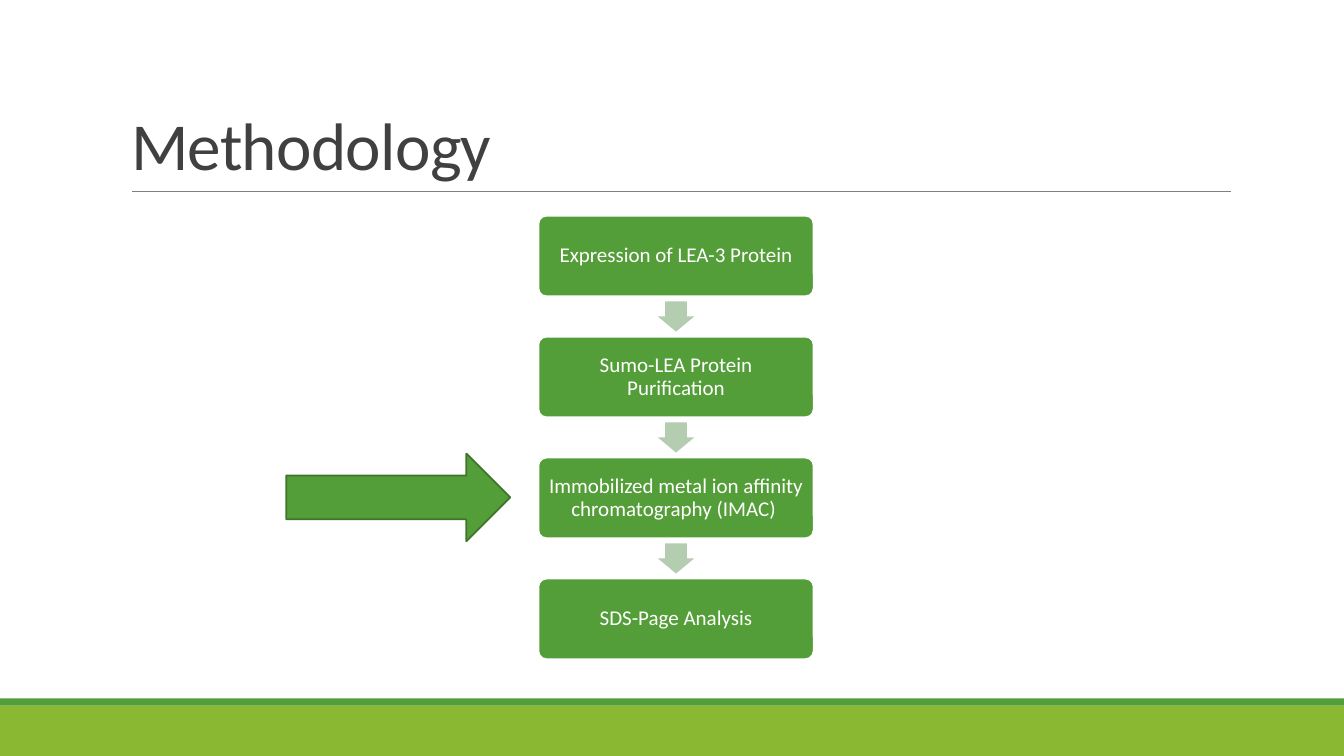
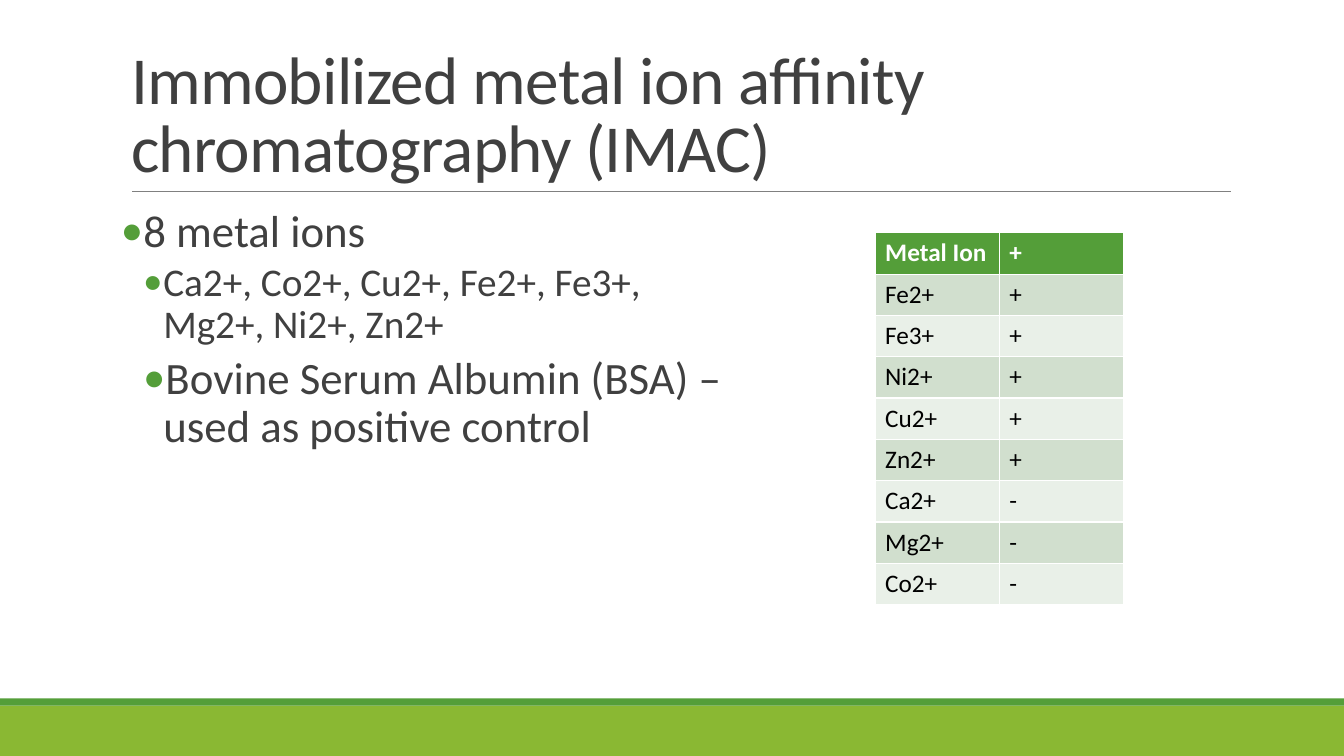
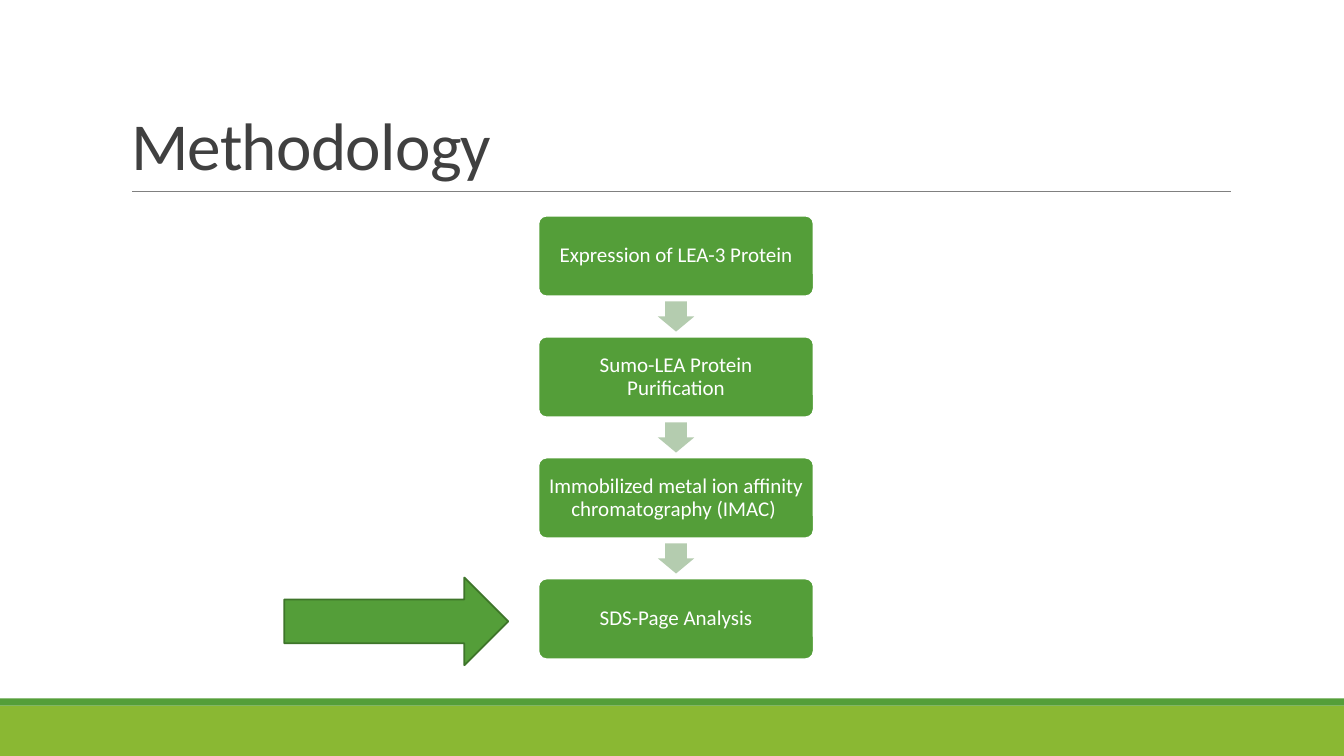
from dataclasses import dataclass

from lxml.etree import SubElement
from pptx import Presentation
from pptx.dml.color import RGBColor
from pptx.enum.shapes import MSO_CONNECTOR, MSO_SHAPE
from pptx.enum.text import MSO_ANCHOR, MSO_AUTO_SIZE, PP_ALIGN
from pptx.oxml.ns import qn
from pptx.util import Inches, Pt


@dataclass(frozen=True)
class Theme:
    font: str = "Calibri"
    green: str = "549E39"
    lime: str = "8AB833"
    pale: str = "B4CCAF"
    edge: str = "3E752A"
    rule: str = "808080"
    ink: str = "404040"
    black: str = "000000"
    white: str = "FFFFFF"
    rows: tuple = ("D1DFCE", "E9F0E8")
    title_size: int = 48
    step_size: int = 15
    table_size: int = 18


THEME = Theme()
WIDTH, HEIGHT = 13.33, 7.5
TITLE_ONLY, TITLE_AND_CONTENT = 5, 1

# Content
STEPS = [
    "Expression of LEA-3 Protein",
    "Sumo-LEA Protein Purification",
    "Immobilized metal ion affinity chromatography (IMAC) ",
    "SDS-Page Analysis",
]
IMAC_TITLE = "Immobilized metal ion affinity chromatography (IMAC)"
IMAC_POINTS = [  # level, size, text
    (0, 32, "8 metal ions"),
    (1, 28, "Ca2+, Co2+, Cu2+, Fe2+, Fe3+, Mg2+, Ni2+, Zn2+"),
    (1, 32, "Bovine Serum Albumin (BSA) – used as positive control"),
]
LEVELS = [  # margin, hanging indent, space before, space after
    (0.1, 0.1, 12, 2),
    (0.42, 0.2, 2, 4),
]
ION_RESULTS = [
    ("Metal Ion", "+"),
    ("Fe2+", "+"),
    ("Fe3+", "+"),
    ("Ni2+", "+"),
    ("Cu2+", "+"),
    ("Zn2+", "+"),
    ("Ca2+", "-"),
    ("Mg2+", "-"),
    ("Co2+", "-"),
]

# Flow chart grid
STEP_LEFT, STEP_TOP, STEP_WIDTH, STEP_HEIGHT = 5.34, 2.14, 2.73, 0.8
STEP_PITCH = 1.2
DOWN_LENGTH, DOWN_BREADTH = 0.3, 0.36
POINTER_WIDTH, POINTER_HEIGHT = 2.22, 0.87


def rgb(colour):
    return RGBColor.from_string(colour)


def add_run(paragraph, text, size, colour, bold=False):
    run = paragraph.add_run()
    run.text = text
    font = run.font
    font.name, font.size, font.bold = THEME.font, Pt(size), bold
    font.color.rgb = rgb(colour)
    return run


def place(shape, left, top, width, height):
    shape.left, shape.top = Inches(left), Inches(top)
    shape.width, shape.height = Inches(width), Inches(height)


def add_block(slide, preset, box, fill, line=None, adjustments=()):
    block = slide.shapes.add_shape(preset, *map(Inches, box))
    block.shadow.inherit = False
    block.fill.solid()
    block.fill.fore_color.rgb = rgb(fill)
    if line:
        block.line.color.rgb = rgb(line)
        block.line.width = Pt(1.25)
    else:
        block.line.fill.background()
    for index, value in enumerate(adjustments):
        block.adjustments[index] = value
    return block


def decorate_master(master, slide):
    """Draw the bands and title rule on a slide, then move them to the master."""
    title_rule = slide.shapes.add_connector(
        MSO_CONNECTOR.STRAIGHT, *map(Inches, (1.31, 1.9, 12.21, 1.9)))
    title_rule.line.color.rgb = rgb(THEME.rule)
    title_rule.line.width = Pt(0.5)
    SubElement(title_rule.element.spPr, qn("a:effectLst"))
    decor = [
        add_block(slide, MSO_SHAPE.RECTANGLE, (0, 7, WIDTH, 0.5), THEME.lime),
        add_block(slide, MSO_SHAPE.RECTANGLE, (0, 6.93, WIDTH, 0.07), THEME.green),
        title_rule,
    ]
    for index, part in enumerate(decor):
        part.element.xpath(".//p:cNvPr")[0].set("id", str(100 + index))
        master.shapes.element.insert(2 + index, part.element)


def add_slide(deck, layout, title, title_top):
    slide = deck.slides.add_slide(deck.slide_layouts[layout])
    heading = slide.shapes.title
    place(heading, 1.2, title_top, 11, 1.59)
    frame = heading.text_frame
    frame.auto_size = MSO_AUTO_SIZE.NONE
    frame.vertical_anchor = MSO_ANCHOR.BOTTOM
    paragraph = frame.paragraphs[0]
    paragraph.alignment, paragraph.line_spacing = PP_ALIGN.LEFT, 0.85
    run = add_run(paragraph, title, THEME.title_size, THEME.ink)
    run.font._element.set("spc", "-50")
    return slide


def add_step(slide, text, top):
    step = add_block(slide, MSO_SHAPE.ROUNDED_RECTANGLE,
                     (STEP_LEFT, top, STEP_WIDTH, STEP_HEIGHT),
                     THEME.green, THEME.white, [0.1])
    frame = step.text_frame
    frame.word_wrap = True
    frame.vertical_anchor = MSO_ANCHOR.MIDDLE
    frame.margin_left = frame.margin_right = Inches(0.08)
    frame.margin_top = frame.margin_bottom = Inches(0.08)
    paragraph = frame.paragraphs[0]
    paragraph.alignment, paragraph.line_spacing = PP_ALIGN.CENTER, 0.9
    add_run(paragraph, text, THEME.step_size, THEME.white)


def add_methodology(deck, pointer_left, pointer_top):
    """Flow chart with a large arrow pointing at the current step."""
    slide = add_slide(deck, TITLE_ONLY, "Methodology", 0.29)
    gap = STEP_PITCH - STEP_HEIGHT
    for index, text in enumerate(STEPS):
        top = STEP_TOP + index * STEP_PITCH
        if index:
            down = add_block(slide, MSO_SHAPE.RIGHT_ARROW,
                             (STEP_LEFT + (STEP_WIDTH - DOWN_LENGTH) / 2,
                              top - (gap + DOWN_BREADTH) / 2,
                              DOWN_LENGTH, DOWN_BREADTH),
                             THEME.pale, adjustments=[0.6, 0.5])
            down.rotation = 90
        add_step(slide, text, top)
    add_block(slide, MSO_SHAPE.RIGHT_ARROW,
              (pointer_left, pointer_top, POINTER_WIDTH, POINTER_HEIGHT),
              THEME.green, THEME.edge)
    return slide


def fill_points(body, points):
    place(body, 1.2, 2.02, 6.18, 4.4)
    frame = body.text_frame
    frame.auto_size = MSO_AUTO_SIZE.NONE
    frame.margin_left = frame.margin_right = 0
    for index, (level, size, text) in enumerate(points):
        paragraph = frame.add_paragraph() if index else frame.paragraphs[0]
        margin, hang, before, after = LEVELS[level]
        paragraph.level = level
        properties = paragraph._p.get_or_add_pPr()
        properties.set("marL", str(Inches(margin)))
        properties.set("indent", str(-Inches(hang)))
        bullet_colour = SubElement(properties, qn("a:buClr"))
        SubElement(bullet_colour, qn("a:srgbClr"), val=THEME.green)
        SubElement(properties, qn("a:buFont"), typeface=THEME.font)
        SubElement(properties, qn("a:buChar"), char="•")
        paragraph.line_spacing = 0.9
        paragraph.space_before = Pt(before if index else 0)
        paragraph.space_after = Pt(after)
        add_run(paragraph, text, size, THEME.ink)


def add_ion_table(slide, rows):
    column, row_height = 1.23, 0.41
    columns = len(rows[0])
    table = slide.shapes.add_table(
        len(rows), columns, Inches(8.68), Inches(2.31),
        Inches(columns * column), Inches(len(rows) * row_height)).table
    for r, values in enumerate(rows):
        header = r == 0
        for c, value in enumerate(values):
            cell = table.cell(r, c)
            cell.fill.solid()
            cell.fill.fore_color.rgb = rgb(
                THEME.green if header else THEME.rows[(r - 1) % 2])
            add_run(cell.text_frame.paragraphs[0], value, THEME.table_size,
                    THEME.white if header else THEME.black, header)


def main():
    deck = Presentation()
    deck.slide_width, deck.slide_height = Inches(WIDTH), Inches(HEIGHT)

    first = add_methodology(deck, 2.84, 4.5)
    decorate_master(deck.slide_master, first)

    imac = add_slide(deck, TITLE_AND_CONTENT, IMAC_TITLE, 0.31)
    fill_points(imac.placeholders[1], IMAC_POINTS)
    add_ion_table(imac, ION_RESULTS)

    add_methodology(deck, 2.82, 5.73)
    deck.save("out.pptx")


if __name__ == "__main__":
    main()
